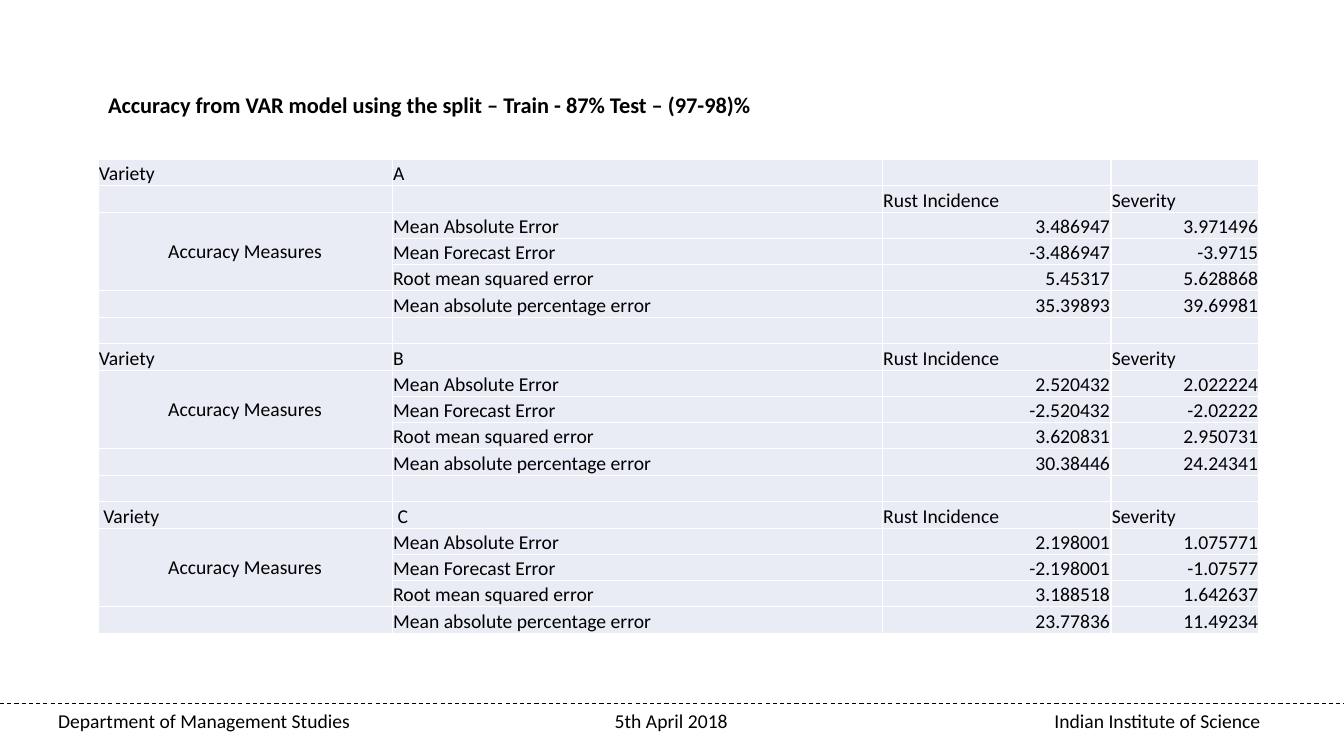
from lxml.etree import SubElement
from pptx import Presentation
from pptx.dml.color import RGBColor
from pptx.enum.dml import MSO_LINE_DASH_STYLE as DASH
from pptx.enum.shapes import MSO_CONNECTOR as CONN
from pptx.enum.text import MSO_ANCHOR as ANCHOR, MSO_AUTO_SIZE as AUTO, PP_ALIGN as ALIGN
from pptx.oxml.ns import qn
from pptx.util import Pt

BLACK = RGBColor(0x00, 0x00, 0x00)
WHITE = RGBColor(0xFF, 0xFF, 0xFF)
LAVENDER = RGBColor(0xE9, 0xEB, 0xF5)
FONT = "Calibri"
WIDTH, HEIGHT = 960, 540
FOOTER_TOP = 502.5
COLUMNS = (210.2, 350, 163.4, 105.8)
ROW, TALL_ROW = 18.6, 19.2
TALL_ROWS = (1, 5, 7, 11, 13, 17)
MERGED_ROWS = (2, 8, 14)
HEADINGS = ("Rust Incidence", "Severity")
BLANK = ("",) * 4
MEASURES = (
    "Mean Absolute Error",
    "Mean Forecast Error",
    "Root mean squared error",
    "Mean absolute percentage error",
)
RESULTS_A = (("3.486947", "3.971496"), ("-3.486947", "-3.9715"),
             ("5.45317", "5.628868"), ("35.39893", "39.69981"))
RESULTS_B = (("2.520432", "2.022224"), ("-2.520432", "-2.02222"),
             ("3.620831", "2.950731"), ("30.38446", "24.24341"))
RESULTS_C = (("2.198001", "1.075771"), ("-2.198001", "-1.07577"),
             ("3.188518", "1.642637"), ("23.77836", "11.49234"))


def style_text(p, size, bold=False):
    for r in p.runs:
        r.font.name = FONT
        r.font.size = Pt(size)
        r.font.bold = bold
        r.font.color.rgb = BLACK


def add_title(slide, text):
    sp = slide.shapes.title
    sp.left, sp.top, sp.width, sp.height = Pt(70), Pt(61), Pt(650), Pt(27)
    tf = sp.text_frame
    tf.text = text
    tf.auto_size = AUTO.NONE
    tf.vertical_anchor = ANCHOR.MIDDLE
    p = tf.paragraphs[0]
    p.alignment = ALIGN.LEFT
    style_text(p, 16, True)


def add_footer(slide, parts):
    sp = slide.shapes.add_textbox(Pt(0), Pt(FOOTER_TOP), Pt(WIDTH), Pt(24.5))
    tf = sp.text_frame
    tf.word_wrap = True
    tf.margin_left = Pt(41.5)
    p = tf.paragraphs[0]
    p.text = "\t".join(parts)
    style_text(p, 14)
    tabs = SubElement(p._p.get_or_add_pPr(), qn("a:tabLst"))
    for pos, align in ((438, "ctr"), (859, "r")):
        SubElement(tabs, qn("a:tab"), pos=str(Pt(pos)), algn=align)


def add_dashed_line(slide):
    line = slide.shapes.add_connector(
        CONN.STRAIGHT, Pt(0), Pt(FOOTER_TOP), Pt(WIDTH), Pt(FOOTER_TOP))
    line.line.color.rgb = BLACK
    line.line.width = Pt(0.75)
    line.line.dash_style = DASH.DASH
    SubElement(line._element.spPr, qn("a:effectLst"))


def variety_rows(header, results):
    labels = ("Accuracy Measures", "", "", "")
    return [header] + [
        (label, measure) + values
        for label, measure, values in zip(labels, MEASURES, results)
    ]


def accuracy_rows():
    return (
        [("Variety", "A", "", "")]
        + variety_rows(("", "") + HEADINGS, RESULTS_A)
        + [BLANK]
        + variety_rows(("Variety", "B") + HEADINGS, RESULTS_B)
        + [BLANK]
        + variety_rows((" Variety", " C") + HEADINGS, RESULTS_C)
    )


def set_borders(cell):
    tcPr = cell._tc.get_or_add_tcPr()
    for i, side in enumerate(("lnL", "lnR", "lnT", "lnB")):
        ln = tcPr.makeelement(qn(f"a:{side}"), {"w": str(Pt(1))})
        fill = SubElement(ln, qn("a:solidFill"))
        SubElement(fill, qn("a:srgbClr"), val=str(WHITE))
        tcPr.insert(i, ln)


def fill_cell(cell, text, align, anchor):
    cell.fill.solid()
    cell.fill.fore_color.rgb = LAVENDER
    cell.margin_left = cell.margin_right = cell.margin_top = Pt(0.7)
    cell.margin_bottom = Pt(0)
    cell.vertical_anchor = anchor
    p = cell.text_frame.paragraphs[0]
    p.alignment = align
    if text:
        p.text = text
        style_text(p, 14)
    else:
        SubElement(p._p, qn("a:endParaRPr"), sz="1400")
    set_borders(cell)


def add_accuracy_table(slide, rows):
    heights = [TALL_ROW if i in TALL_ROWS else ROW for i in range(len(rows))]
    frame = slide.shapes.add_table(
        len(rows), len(COLUMNS), Pt(70), Pt(114),
        Pt(sum(COLUMNS)), Pt(sum(heights)))
    table = frame.table
    table.first_row = False
    table.horz_banding = False
    for column, width in zip(table.columns, COLUMNS):
        column.width = Pt(width)
    for i, values in enumerate(rows):
        table.rows[i].height = Pt(heights[i])
        for j, text in enumerate(values):
            align, anchor = ALIGN.LEFT, ANCHOR.BOTTOM
            if j == 0 and i in MERGED_ROWS:
                align, anchor = ALIGN.CENTER, ANCHOR.MIDDLE
            elif j > 1 and text not in HEADINGS:
                align = ALIGN.RIGHT
            fill_cell(table.cell(i, j), text, align, anchor)
    for i in MERGED_ROWS:
        table.cell(i, 0).merge(table.cell(i + 2, 0))


def main():
    prs = Presentation()
    prs.slide_width, prs.slide_height = Pt(WIDTH), Pt(HEIGHT)
    slide = prs.slides.add_slide(prs.slide_layouts[5])
    add_footer(slide, ("Department of Management Studies", "5th April 2018",
                       "Indian Institute of Science"))
    add_dashed_line(slide)
    add_title(slide, "Accuracy from VAR model using the split – Train - 87% Test – (97-98)%")
    add_accuracy_table(slide, accuracy_rows())
    prs.save("out.pptx")


if __name__ == "__main__":
    main()
